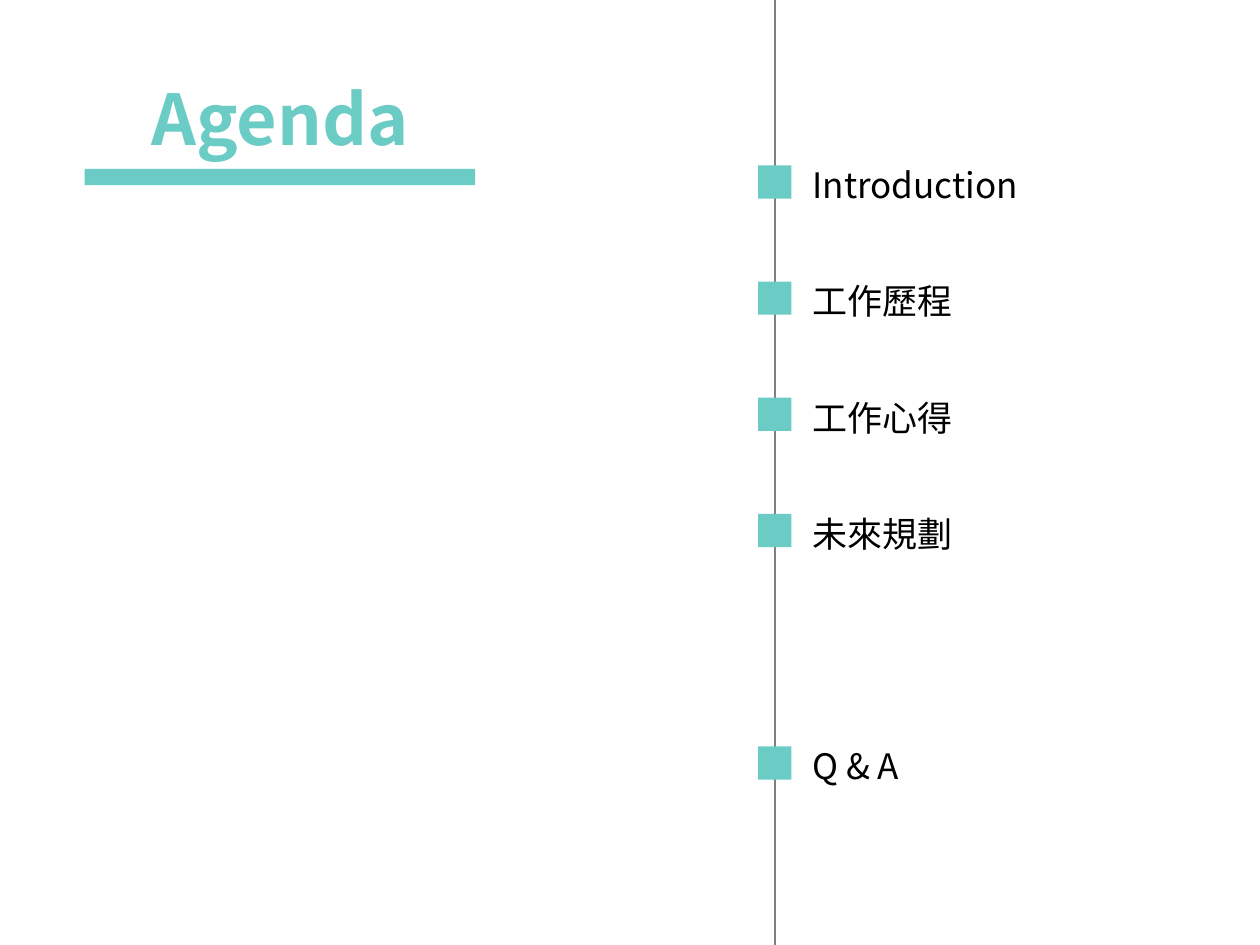
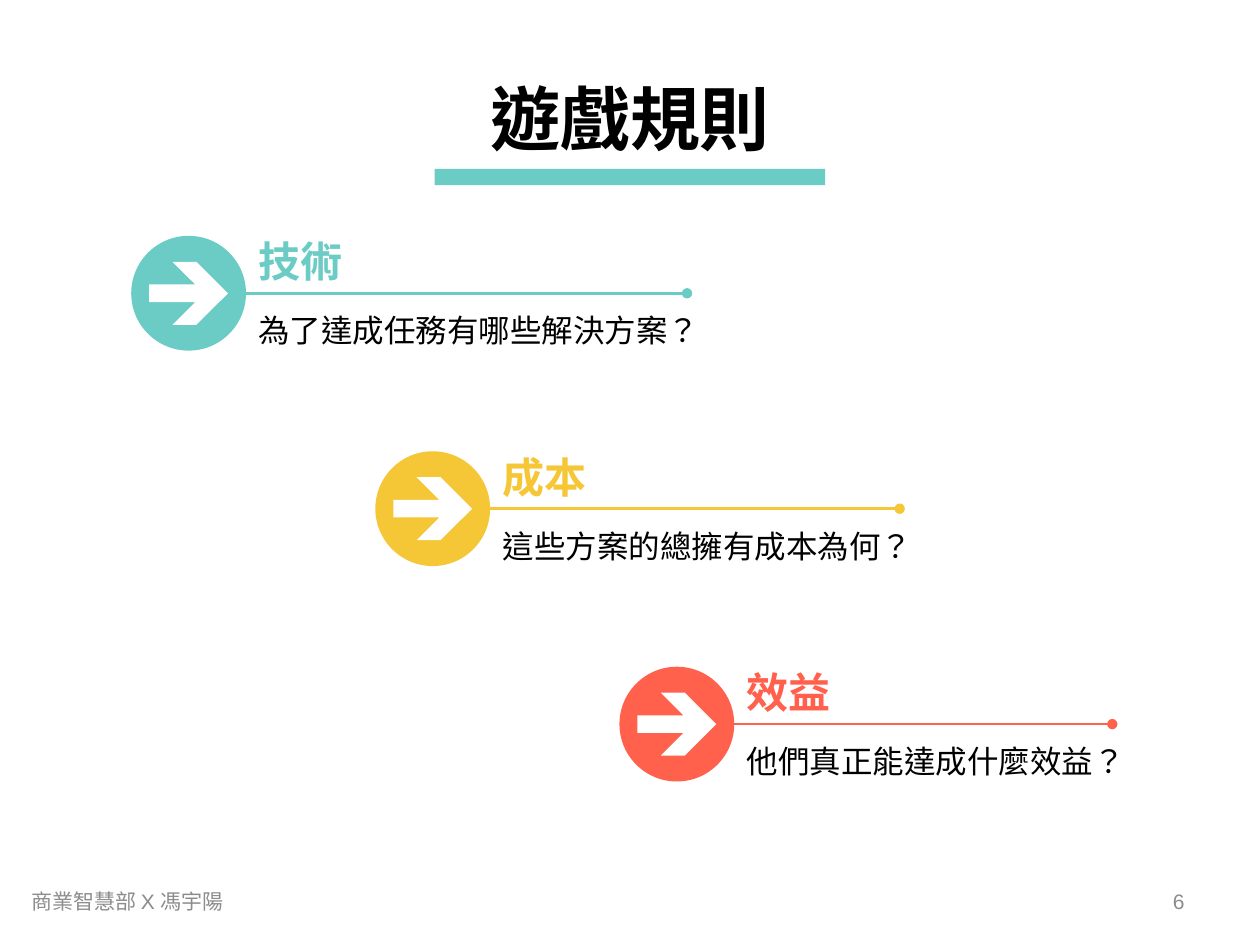
from dataclasses import dataclass
from lxml.etree import SubElement
from pptx import Presentation
from pptx.dml.color import RGBColor
from pptx.enum.shapes import MSO_CONNECTOR, MSO_SHAPE
from pptx.enum.text import MSO_ANCHOR, MSO_AUTO_SIZE, PP_ALIGN
from pptx.oxml.ns import qn
from pptx.util import Pt

AGENDA = ["Introduction", "工作歷程", "工作心得", "未來規劃", None, "Q & A"]
RULES = [
    ("技術", "為了達成任務有哪些解決方案？", "teal"),
    ("成本", "這些方案的總擁有成本為何？", "gold"),
    ("效益", "他們真正能達成什麼效益？", "coral"),
]
FOOTER = "商業智慧部 X 馮宇陽"
PAGE = "6"
ARROW = [(13.3, 0), (27, 0), (45, 18), (27, 36), (13.3, 36),
         (26.3, 23), (0, 23), (0, 13), (26.3, 13)]


@dataclass(frozen=True)
class Theme:
    teal: str = "6BCBC5"
    gold: str = "F5C636"
    coral: str = "FF614C"
    black: str = "000000"
    white: str = "FFFFFF"
    rail: str = "808080"
    gray: str = "8C8C8C"
    latin: str = "Arial"
    noto: str = "Noto Sans CJK SC"
    title: int = 40
    head: int = 24
    item: int = 20
    note: int = 18
    foot: int = 12


THEME = Theme()
WIDE, HIGH = 720, 540


def write(box, text, size, color, font=THEME.noto, bold=False,
          align=PP_ALIGN.LEFT, anchor=MSO_ANCHOR.TOP):
    frame = box.text_frame
    frame.text = text
    frame.word_wrap = True
    frame.auto_size = MSO_AUTO_SIZE.NONE
    frame.vertical_anchor = anchor
    para = frame.paragraphs[0]
    para.alignment = align
    for run in para.runs:
        run.font.size = Pt(size)
        run.font.bold = bold
        run.font.name = font
        run.font.color.rgb = RGBColor.from_string(color)
        props = run._r.get_or_add_rPr()
        props.set("lang", "zh-TW")
        SubElement(props, qn("a:ea")).set("typeface", THEME.noto)


def label(slide, area, text, size, color, **style):
    box = slide.shapes.add_textbox(*map(Pt, area))
    write(box, text, size, color, **style)


def paint(shape, color):
    shape.shadow.inherit = False
    shape.fill.solid()
    shape.fill.fore_color.rgb = RGBColor.from_string(color)
    shape.line.fill.background()


def block(slide, kind, area, color):
    paint(slide.shapes.add_shape(kind, *map(Pt, area)), color)


def rule(slide, start, end, color, width, dot=False):
    line = slide.shapes.add_connector(
        MSO_CONNECTOR.STRAIGHT, *map(Pt, start + end))
    line.line.width = Pt(width)
    line.line.color.rgb = RGBColor.from_string(color)
    props = line._element.spPr
    if dot:
        SubElement(props.find(qn("a:ln")), qn("a:tailEnd")).set("type", "oval")
    SubElement(props, qn("a:effectLst"))


def start(deck, text, mid, color, font):
    slide = deck.slides.add_slide(deck.slide_layouts[5])
    block(slide, MSO_SHAPE.RECTANGLE, (mid - 111.6, 96.5, 223.2, 9.4), THEME.teal)
    title = slide.shapes.title
    title.left, title.top = Pt(mid - 135), Pt(39.6)
    title.width, title.height = Pt(270), Pt(55.4)
    write(title, text, THEME.title, color, font=font, bold=True,
          align=PP_ALIGN.CENTER, anchor=MSO_ANCHOR.MIDDLE)
    return slide


def agenda(deck):
    slide = start(deck, "Agenda", 160, THEME.teal, THEME.noto)
    rail, side, top, pitch = 442.8, 19, 94.5, 66.4
    rule(slide, (rail, 0), (rail, HIGH), THEME.rail, 0.75)
    for row, text in enumerate(AGENDA):
        if text:
            y = top + row * pitch
            block(slide, MSO_SHAPE.RECTANGLE,
                  (rail - side / 2, y, side, side), THEME.teal)
            font = THEME.noto if text.isascii() else THEME.latin
            label(slide, (rail + 14.4, y - 4.5, 184.3, 31.5), text,
                  THEME.item, THEME.black, font=font)


def arrow(slide, left, top):
    spots = [(Pt(left + x), Pt(top + y)) for x, y in ARROW]
    form = slide.shapes.build_freeform(*spots[0], scale=1.0)
    form.add_line_segments(spots[1:], close=True)
    paint(form.convert_to_shape(), THEME.white)


def step(slide, left, top, head, note, color):
    disc = 65.6
    edge, mid = left + disc, top + disc / 2
    label(slide, (edge, top + 39.6, 268, 28.8), note, THEME.note, THEME.black)
    block(slide, MSO_SHAPE.OVAL, (left, top, disc, disc), color)
    arrow(slide, left + 10.3, mid - 18)
    rule(slide, (edge, mid), (edge + len(note) * THEME.note, mid),
         color, 1.5, dot=True)
    label(slide, (edge, top - 3.6, 139.7, 36), head, THEME.head, color,
          font=THEME.latin, bold=True)


def rules(deck):
    slide = start(deck, "遊戲規則", WIDE / 2, THEME.black, THEME.latin)
    for row, (head, note, tone) in enumerate(RULES):
        step(slide, 75 + row * 139.5, 134.8 + row * 123.1,
             head, note, getattr(THEME, tone))
    for left, width, text, align in [
            (516.2, 167.8, PAGE, PP_ALIGN.RIGHT),
            (10.8, 228.2, FOOTER, PP_ALIGN.LEFT)]:
        label(slide, (left, 500.4, width, 28.8), text, THEME.foot, THEME.gray,
              font=THEME.latin, align=align, anchor=MSO_ANCHOR.MIDDLE)


def main():
    deck = Presentation()
    deck.slide_width, deck.slide_height = Pt(WIDE), Pt(HIGH)
    agenda(deck)
    rules(deck)
    deck.save("out.pptx")


if __name__ == "__main__":
    main()
